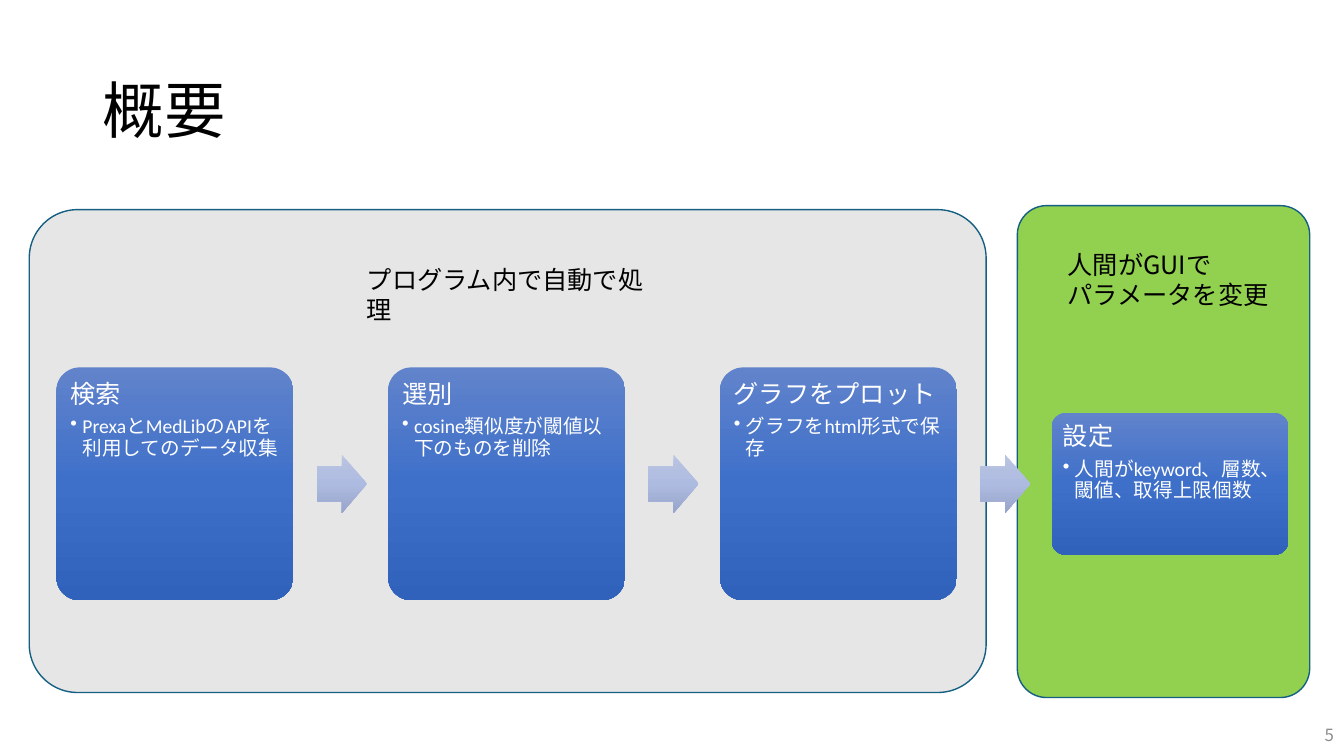
from copy import deepcopy
from dataclasses import dataclass

from pptx import Presentation
from pptx import util as u
from pptx.dml.color import RGBColor
from pptx.enum import shapes, text
from pptx.oxml.ns import qn
from pptx.oxml.xmlchemy import OxmlElement

NOTO = "Noto Sans CJK JP"
LATIN = "Calibri"
BLUES = ("6183CB", "3E70CA", "3062BB")
PALES = ("BBC5E3", "AEBBE0", "98A4CB")
ROUND = shapes.MSO_SHAPE.ROUNDED_RECTANGLE
ARROW = shapes.MSO_SHAPE.RIGHT_ARROW

# Flow layout, in inches
FIRST, STEP, MIDDLE = 0.56, 3.29, 4.8
CARD_WIDTH = 2.35
ARROW_SHIFT, ARROW_WIDTH, ARROW_HEIGHT = 2.58, 0.5, 0.58


@dataclass
class Box:
    left: float
    top: float
    width: float
    height: float

    def place(self) -> list:
        return [u.Inches(v) for v in (self.left, self.top, self.width, self.height)]


@dataclass
class Panel:
    box: Box
    fill: str


@dataclass
class Card:
    head: str
    body: str
    height: float = 2.31


@dataclass
class Label:
    box: Box
    lines: tuple
    size: int = 18
    color: str = "000000"
    align: text.PP_ALIGN = text.PP_ALIGN.LEFT
    anchor: text.MSO_ANCHOR = text.MSO_ANCHOR.TOP
    spacing: float = 1.0


PANELS = [
    Panel(Box(10.09, 2.04, 2.9, 4.88), "92D050"),
    Panel(Box(0.29, 2.08, 9.49, 4.79), "E7E6E6"),
]
CARDS = [
    Card("検索", "PrexaとMedLibのAPIを利用してのデータ収集"),
    Card("選別", "cosine類似度が閾値以下のものを削除"),
    Card("グラフをプロット", "グラフをhtml形式で保存"),
    Card("設定", "人間がkeyword、層数、閾値、取得上限個数", 1.41),
]
LABELS = [
    Label(Box(0.92, 0.4, 11.5, 1.45), ("概要",), size=44,
          anchor=text.MSO_ANCHOR.MIDDLE, spacing=0.9),
    Label(Box(3.54, 2.57, 2.99, 0.4), ("プログラム内で自動で処理",)),
    Label(Box(10.49, 2.42, 2.28, 0.71), ("人間がGUIで", "パラメータを変更")),
    Label(Box(10.33, 7.09, 3, 0.4), ("5",), size=12, color="8C8C8C",
          align=text.PP_ALIGN.RIGHT, anchor=text.MSO_ANCHOR.MIDDLE),
]


def rgb(code: str) -> RGBColor:
    return RGBColor.from_string(code)


def write(frame, words: str, *, size: int, color: str, font: str = NOTO,
          align=text.PP_ALIGN.LEFT, spacing: float = 1.0, after: float = 0,
          bullet: bool = False) -> None:
    """Fill the empty first paragraph, or add one."""
    para = frame.paragraphs[0]
    if para.runs:
        para = frame.add_paragraph()
    para.alignment, para.line_spacing = align, spacing
    para.space_after = u.Pt(after)
    if bullet:
        props = para._p.get_or_add_pPr()
        props.set("marL", str(u.Inches(0.12)))
        props.set("indent", str(u.Inches(-0.12)))
        mark = OxmlElement("a:buChar")
        mark.set("char", "•")
        props.append(mark)
    run = para.add_run()
    run.text = words
    run.font.size, run.font.name = u.Pt(size), font
    run.font.color.rgb = rgb(color)
    asian = OxmlElement("a:ea")
    asian.set("typeface", NOTO)
    run.font._element.find(qn("a:latin")).addnext(asian)


def shade(shape, colors: tuple) -> None:
    """Apply a three-stop gradient running from top to bottom."""
    shape.fill.gradient()
    shape.fill.gradient_angle = 270
    stops = shape._element.spPr.find(qn("a:gradFill")).find(qn("a:gsLst"))
    stops.append(deepcopy(stops[-1]))
    for stop, color, place in zip(shape.fill.gradient_stops, colors, (0, 0.5, 1)):
        stop.color.rgb = rgb(color)
        stop.position = place


def draw(slide, kind, box: Box, *adjust: float):
    shape = slide.shapes.add_shape(kind, *box.place())
    shape.shadow.inherit = False
    for i, value in enumerate(adjust):
        shape.adjustments[i] = value
    return shape


def add_panel(slide, panel: Panel) -> None:
    shape = draw(slide, ROUND, panel.box, 0.1)
    shape.fill.solid()
    shape.fill.fore_color.rgb = rgb(panel.fill)
    shape.line.color.rgb = rgb("156082")
    shape.line.width = u.Pt(1)


def add_card(slide, card: Card, left: float) -> None:
    box = Box(left, MIDDLE - card.height / 2, CARD_WIDTH, card.height)
    shape = draw(slide, ROUND, box, 0.1)
    shade(shape, BLUES)
    shape.line.fill.background()
    frame = shape.text_frame
    frame.word_wrap = True
    frame.vertical_anchor = text.MSO_ANCHOR.TOP
    frame.margin_left = frame.margin_right = u.Inches(0.07)
    frame.margin_top = frame.margin_bottom = u.Inches(0.07)
    write(frame, card.head, size=18, color="FFFFFF", font=LATIN, spacing=0.9, after=6)
    write(frame, card.body, size=14, color="FFFFFF", font=LATIN, spacing=0.9,
          after=2, bullet=True)


def add_arrow(slide, left: float) -> None:
    box = Box(left, MIDDLE - ARROW_HEIGHT / 2, ARROW_WIDTH, ARROW_HEIGHT)
    shape = draw(slide, ARROW, box, 0.6, 0.5)
    shade(shape, PALES)
    shape.line.fill.background()


def add_label(slide, label: Label) -> None:
    frame = slide.shapes.add_textbox(*label.box.place()).text_frame
    frame.word_wrap = True
    frame.vertical_anchor = label.anchor
    for line in label.lines:
        write(frame, line, size=label.size, color=label.color,
              align=label.align, spacing=label.spacing)


def main() -> None:
    deck = Presentation()
    deck.slide_width, deck.slide_height = u.Inches(13.33), u.Inches(7.5)
    slide = deck.slides.add_slide(deck.slide_layouts[6])

    # Background panels
    for panel in PANELS:
        add_panel(slide, panel)

    # Cards with an arrow between neighbours
    for i, card in enumerate(CARDS):
        left = FIRST + i * STEP
        add_card(slide, card, left)
        if i < len(CARDS) - 1:
            add_arrow(slide, left + ARROW_SHIFT)

    # Title, panel labels and page number
    for label in LABELS:
        add_label(slide, label)

    deck.save("out.pptx")


if __name__ == "__main__":
    main()
